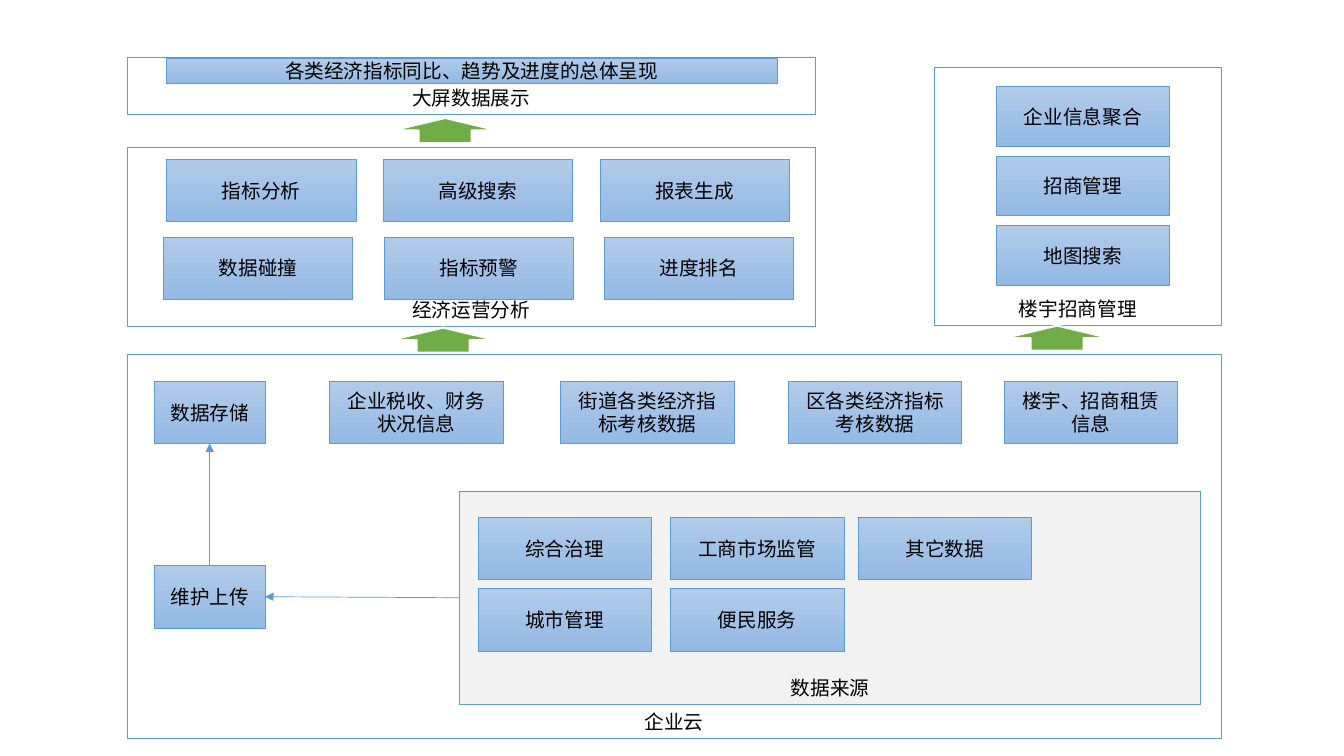
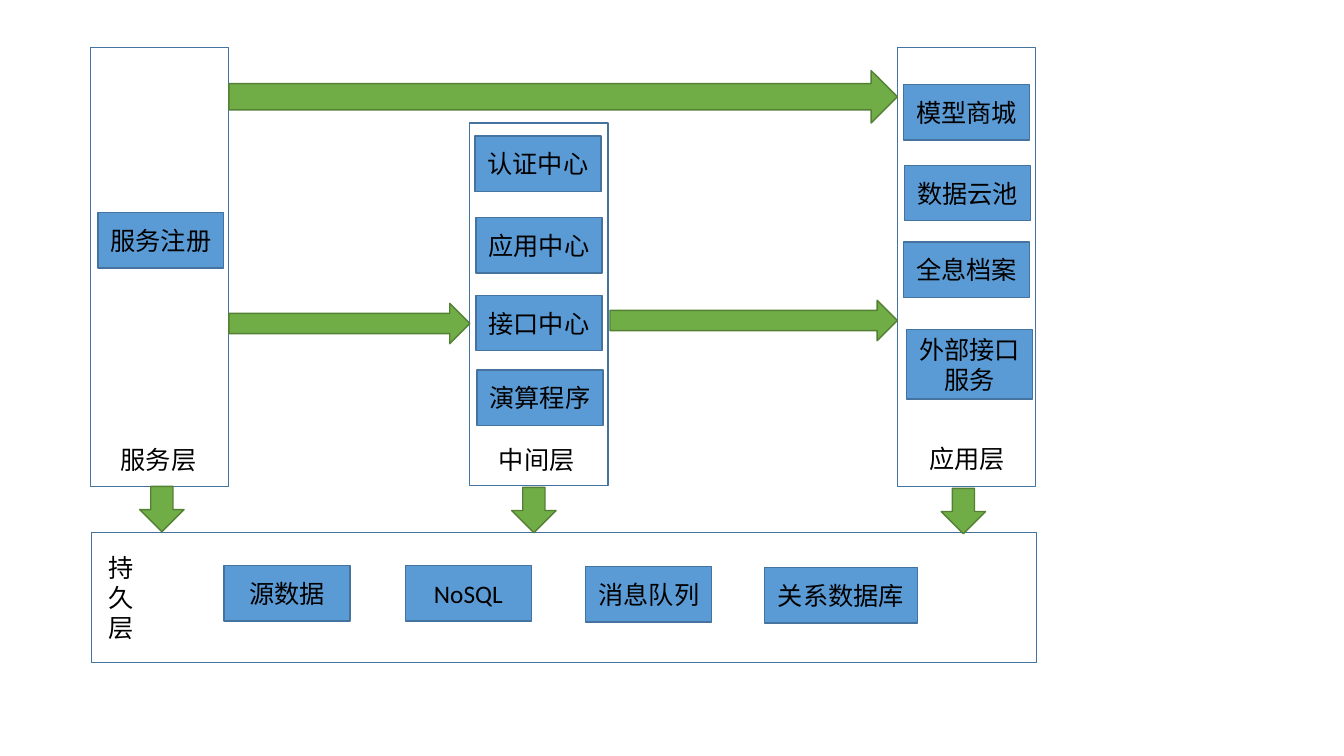
from pptx import Presentation
from pptx.dml.color import RGBColor
from pptx.enum.shapes import MSO_CONNECTOR as Link, MSO_SHAPE as Kind
from pptx.enum.text import MSO_ANCHOR as Anchor, PP_ALIGN as Align
from pptx.oxml.ns import qn
from pptx.util import Inches, Pt
from lxml.etree import SubElement

hue = RGBColor.from_string
BLUE, NAVY, GREEN = "5B9BD5", "43739E", "70AD47"
FADE = ("B1CBE9", "93B9E4")

# Each look: fill, line colour, line width, text size, anchor
LOOKS = {
    "frame": (None, BLUE, 0.5, 14, Anchor.BOTTOM),
    "panel": ("F2F2F2", BLUE, 0.5, 14, Anchor.BOTTOM),
    "card": (FADE, BLUE, 0.5, 14, Anchor.MIDDLE),
    "rise": (GREEN, "FFFFFF", 1.5, 14, Anchor.MIDDLE),
    "layer": (None, NAVY, 1, 18, Anchor.MIDDLE),
    "part": (BLUE, NAVY, 1, 18, Anchor.MIDDLE),
    "flow": (GREEN, "538035", 1, 18, Anchor.MIDDLE),
}


def write(frame, text, size, align, anchor):
    """Put black text of one size into a text frame."""
    frame.word_wrap, frame.vertical_anchor = True, anchor
    para = frame.paragraphs[0]
    para.alignment = align
    run = para.add_run()
    run.text = text
    form = {"name": "Calibri", "size": Pt(size)}
    for key, value in form.items():
        setattr(run.font, key, value)
    run.font.color.rgb = hue("000000")


def put(slide, look, box, text="", kind=Kind.RECTANGLE):
    """Add a shape in one of the looks, with text if given."""
    fill, edge, width, size, anchor = LOOKS[look]
    shape = slide.shapes.add_shape(kind, *map(Inches, box))
    shape.shadow.inherit = False
    if fill is None:
        shape.fill.background()
    elif fill is FADE:
        shape.fill.gradient()
        shape.fill.gradient_angle = 270
        for stop, tone in zip(shape.fill.gradient_stops, fill):
            stop.color.rgb = hue(tone)
    else:
        shape.fill.solid()
        shape.fill.fore_color.rgb = hue(fill)
    shape.line.color.rgb = hue(edge)
    shape.line.width = Pt(width)
    if text:
        write(shape.text_frame, text, size, Align.CENTER, anchor)
    return shape


deck = Presentation()
deck.slide_width, deck.slide_height = Inches(13.33), Inches(7.5)
blank = deck.slide_layouts[6]

# Slide 1: data platform
slide = deck.slides.add_slide(blank)
for look, box, text in [
    ("frame", (1.26, 3.52, 10.85, 3.81), "企业云"),
    ("panel", (4.56, 4.87, 7.35, 2.12), "数据来源"),
    ("frame", (1.26, 1.46, 6.83, 1.78), "经济运营分析"),
    ("frame", (9.27, 0.67, 2.84, 2.56), "楼宇招商管理"),
    ("frame", (1.26, 0.57, 6.83, 0.57), "大屏数据展示"),
    ("card", (1.65, 0.58, 6.06, 0.25), "各类经济指标同比、趋势及进度的总体呈现"),
    ("card", (1.53, 3.78, 1.1, 0.62), "数据存储"),
    ("card", (1.53, 5.61, 1.1, 0.62), "维护上传"),
]:
    put(slide, look, box, text)

# Rows of cards: top, card width, then left and text of each
for top, wide, cards in [
    (1.58, 1.88, [(1.65, "指标分析"), (3.8, "高级搜索"), (5.95, "报表生成")]),
    (2.35, 1.88, [(1.62, "数据碰撞"), (3.81, "指标预警"), (5.99, "进度排名")]),
    (3.78, 1.72, [(3.27, "企业税收、财务状况信息"), (5.56, "街道各类经济指标考核数据"),
                  (7.82, "区各类经济指标考核数据"), (9.96, "楼宇、招商租赁信息")]),
    (5.13, 1.72, [(4.74, "综合治理"), (6.65, "工商市场监管"), (8.51, "其它数据")]),
    (5.84, 1.72, [(4.74, "城市管理"), (6.65, "便民服务")]),
]:
    for left, text in cards:
        put(slide, "card", (left, top, wide, 0.62), text)

for row, text in enumerate(["企业信息聚合", "招商管理", "地图搜索"]):
    put(slide, "card", (9.88, 0.86 + 0.69 * row, 1.72, 0.59), text)

for left, top in [(3.89, 1.17), (9.96, 3.23), (3.87, 3.25)]:
    put(slide, "rise", (left, top, 1.05, 0.25), kind=Kind.UP_ARROW)

for ends in [(2.08, 5.61, 2.08, 4.4), (4.56, 5.93, 2.63, 5.92)]:
    link = slide.shapes.add_connector(Link.STRAIGHT, *map(Inches, ends))
    link.line.color.rgb = hue(BLUE)
    link.line.width = Pt(0.5)
    SubElement(link.line._get_or_add_ln(), qn("a:tailEnd"), type="triangle")
    SubElement(link._element.spPr, qn("a:effectLst"))

# Slide 2: service layers
slide = deck.slides.add_slide(blank)
for box in [(0.9, 0.47, 1.37, 4.36), (4.66, 1.22, 1.37, 3.6),
            (8.9, 0.47, 1.37, 4.36), (0.91, 5.28, 9.37, 1.29)]:
    put(slide, "layer", box)

for left, top, text in [
    (0.97, 2.11, "服务注册"),
    (4.71, 1.35, "认证中心"), (4.72, 2.16, "应用中心"),
    (4.72, 2.93, "接口中心"), (4.73, 3.67, "演算程序"),
    (8.96, 0.84, "模型商城"), (8.97, 1.64, "数据云池"), (8.96, 2.4, "全息档案"),
    (2.22, 5.61, "源数据"), (4.02, 5.61, "NoSQL"), (5.81, 5.62, "消息队列"),
]:
    put(slide, "part", (left, top, 1.25, 0.55), text)
put(slide, "part", (8.99, 3.27, 1.25, 0.69), "外部接口服务")
put(slide, "part", (7.58, 5.63, 1.52, 0.55), "关系数据库")

for box in [(2.27, 3.01, 2.39, 0.4), (6.05, 2.98, 2.85, 0.4), (2.27, 0.7, 6.63, 0.52)]:
    put(slide, "flow", box, kind=Kind.RIGHT_ARROW)
for left, top in [(1.38, 4.83), (5.07, 4.84), (9.33, 4.85)]:
    arrow = put(slide, "flow", (left, top, 0.45, 0.44), kind=Kind.RIGHT_ARROW)
    arrow.rotation = 90

for box, text in [
    ((1.1, 4.36, 0.97, 0.4), "服务层"), ((4.85, 4.36, 0.97, 0.4), "中间层"),
    ((9.12, 4.35, 0.97, 0.4), "应用层"), ((0.98, 5.43, 0.55, 1.01), "持久层"),
]:
    label = slide.shapes.add_textbox(*map(Inches, box))
    write(label.text_frame, text, 18, Align.LEFT, Anchor.TOP)

deck.save("out.pptx")
